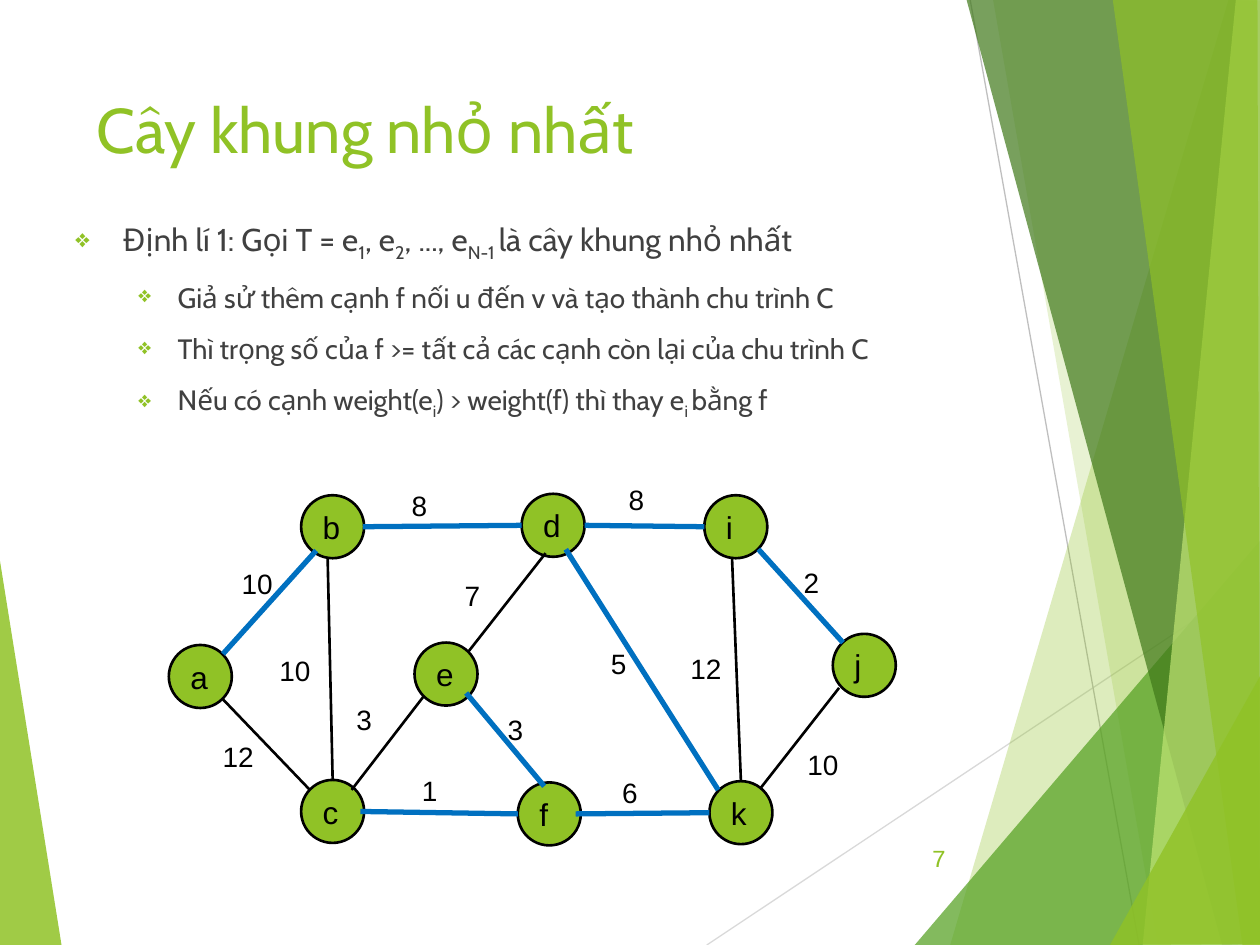
import pptx
import pptx.dml.color
import pptx.enum.shapes
import pptx.enum.text
import pptx.oxml
import pptx.oxml.ns
import pptx.util
from pptx.util import Pt

RGB = pptx.dml.color.RGBColor
GREEN = RGB(0x90, 0xC2, 0x26)
MID_GREEN = RGB(0x54, 0xA0, 0x21)
DARK_GREEN = RGB(0x3F, 0x78, 0x19)
PALE_GREEN = RGB(0xC0, 0xE4, 0x74)
BLUE = RGB(0x00, 0x70, 0xC0)
BLACK = RGB(0x00, 0x00, 0x00)
TEXT_GREY = RGB(0x40, 0x40, 0x40)
LIGHT_GREY = RGB(0xD9, 0xD9, 0xD9)
GREY = RGB(0xBF, 0xBF, 0xBF)

ANCHOR = pptx.enum.text.MSO_ANCHOR
ALIGN = pptx.enum.text.PP_ALIGN
NODE_SIZE = 36

# Corner points, colour, opacity in percent
LEFT_FACET = ([(-0.7, 316), (35.3, 540.7), (-0.7, 540)], GREEN, 85)
RIGHT_FACETS = [
    ([(702, 0), (543, 540), (721.4, 540.7), (720.7, 0.7)], GREEN, 30),
    ([(567.4, -0.7), (661.7, 540), (720.7, 540), (720.7, -0.7)], GREEN, 20),
    ([(522.7, 540), (720, 309), (720.7, 540)], MID_GREEN, 72),
    ([(552.2, -0.7), (698.4, 540), (720.7, 539.3), (720.7, -0.7)], DARK_GREEN, 70),
    ([(706.3, -0.7), (653, 540), (720.7, 540), (720, -0.7)], PALE_GREEN, 70),
    ([(635.8, -0.7), (710, 540), (720, 540), (718.6, -0.7)], GREEN, 65),
    ([(634.3, 540), (720.7, 385.2), (720.7, 539.3)], GREEN, 80),
]

# Underscores enclose subscripts
STATEMENTS = [
    (0, "Định lí 1: Gọi T = e_1_, e_2_, ..., e_N-1 _là cây khung nhỏ nhất"),
    (1, "Giả sử thêm cạnh f nối u đến v và tạo thành chu trình C"),
    (1, "Thì trọng số của f >= tất cả các cạnh còn lại của chu trình C"),
    (1, "Nếu có cạnh weight(e_i_) > weight(f) thì thay e_i _bằng f"),
]
# Level: text size, left margin, hanging indent
LEVELS = {0: (18, 27, 27), 1: (16, 58.5, 22.5)}

NODES = {
    "a": (96.5, 368.6), "b": (172.1, 283), "d": (298.1, 282.2),
    "i": (402.5, 283), "c": (172.1, 445.7), "e": (236.9, 367.2),
    "f": (295.9, 447.1), "k": (405.4, 446.4), "j": (475.9, 362.2),
}

# Start, end, weight, corner of the weight's box
TREE_EDGES = [
    ((180.7, 314.6), (127.4, 373.7), 10, (131, 320.4)),
    ((433.4, 313.9), (481.7, 367.2), 2, (452.2, 319.7)),
    ((323.3, 313.9), (410.4, 451.4), 5, (342, 365.8)),
    ((334.1, 300.2), (402.5, 301), 8, (352.1, 272.2)),
    ((266.4, 396), (311, 449.3), 3, (283, 403.9)),
    ((207.4, 301), (298.1, 300.2), 8, (228.2, 275.8)),
    ((329, 465.1), (405.4, 464.4), 6, (348.5, 439.9)),
    ((205.9, 463.7), (295.9, 465.1), 1, (234, 438.5)),
]
OTHER_EDGES = [
    ((311.8, 316.1), (267.8, 372.2), 7, (258.5, 326.9)),
    ((241.9, 398.2), (200.9, 451.4), 3, (196.6, 398.2)),
    ((479.5, 393.1), (434.9, 450), 10, (454.3, 423.4)),
    ((127.4, 399.6), (177.1, 451.4), 12, (120.2, 419)),
    ((423.4, 446.4), (418.3, 318.2), 12, (387.4, 368.6)),
    ((187.2, 318.2), (190.1, 445.7), 10, (152.6, 370.1)),
]


def add_xml(parent, tag, **attributes):
    child = pptx.oxml.parse_xml(f"<a:{tag} {pptx.oxml.ns.nsdecls('a')}/>")
    for name, value in attributes.items():
        child.set(name, str(value))
    parent.append(child)
    return child


def style_span(span, size, font, color):
    span.font.size = Pt(size)
    span.font.name = font
    span.font.color.rgb = color


def add_facet(page, corners, color, opacity):
    points = [(Pt(x), Pt(y)) for x, y in corners]
    builder = page.shapes.build_freeform(*points[0], scale=1.0)
    builder.add_line_segments(points[1:], close=True)
    facet = builder.convert_to_shape()
    facet.shadow.inherit = False
    facet.fill.solid()
    facet.fill.fore_color.rgb = color
    facet.line.fill.background()
    fill_color = facet._element.spPr.find(".//" + pptx.oxml.ns.qn("a:srgbClr"))
    add_xml(fill_color, "alpha", val=opacity * 1000)


def add_line(page, start, end, color, width):
    line = page.shapes.add_connector(
        pptx.enum.shapes.MSO_CONNECTOR.STRAIGHT, *map(Pt, start + end))
    line.line.color.rgb = color
    line.line.width = Pt(width)
    add_xml(line._element.spPr, "effectLst")


def add_box(page, left, top, width, height):
    box = page.shapes.add_textbox(Pt(left), Pt(top), Pt(width), Pt(height))
    box.text_frame.word_wrap = True
    return box.text_frame


def add_label(page, text, place, size, font, color):
    """Add a one-line text box and return its frame."""
    frame = add_box(page, *place)
    frame.text = text
    style_span(frame.paragraphs[0].runs[0], size, font, color)
    return frame


def add_bullet(para):
    properties = para._p.get_or_add_pPr()
    add_xml(add_xml(properties, "buClr"), "srgbClr", val=GREEN)
    add_xml(properties, "buSzPct", val=80000)
    add_xml(properties, "buChar", char="❖")


def add_statements(page):
    frame = add_box(page, 36, 122.4, 499.7, 305.3)
    for number, (level, text) in enumerate(STATEMENTS):
        para = frame.add_paragraph() if number else frame.paragraphs[0]
        size, margin, hanging = LEVELS[level]
        para.level = level
        para.space_before = Pt(10)
        properties = para._p.get_or_add_pPr()
        properties.set("marL", str(Pt(margin)))
        properties.set("indent", str(-Pt(hanging)))
        add_bullet(para)
        for position, part in enumerate(text.split("_")):
            span = para.add_run()
            span.text = part
            style_span(span, size, "Cabin", TEXT_GREY)
            if position % 2:
                span._r.get_or_add_rPr().set("baseline", "-25000")


def add_node(page, name, left, top):
    node = page.shapes.add_shape(
        pptx.enum.shapes.MSO_SHAPE.OVAL,
        Pt(left), Pt(top), Pt(NODE_SIZE), Pt(NODE_SIZE))
    node.shadow.inherit = False
    node.fill.solid()
    node.fill.fore_color.rgb = GREEN
    node.line.color.rgb = BLACK
    node.line.width = Pt(1.5)
    node.text_frame.text = name
    node.text_frame.vertical_anchor = ANCHOR.MIDDLE
    para = node.text_frame.paragraphs[0]
    para.alignment = ALIGN.LEFT
    style_span(para.runs[0], 18, "Arial", BLACK)


def add_graph(page):
    for name, corner in NODES.items():
        add_node(page, name, *corner)
    for edges, color, width in ((TREE_EDGES, BLUE, 3), (OTHER_EDGES, BLACK, 1.5)):
        for start, end, weight, corner in edges:
            add_line(page, start, end, color, width)
            add_label(page, str(weight), (*corner, 54.7, 36), 16, "Arial", BLACK)


def main():
    deck = pptx.Presentation()
    deck.slide_width, deck.slide_height = Pt(720), Pt(540)
    page = deck.slides.add_slide(deck.slide_layouts[6])
    add_facet(page, *LEFT_FACET)
    add_line(page, (403.9, 540), (720.7, 329), LIGHT_GREY, 0.75)
    add_line(page, (554.4, 0), (650.9, 540), GREY, 0.75)
    for facet in RIGHT_FACETS:
        add_facet(page, *facet)
    add_label(page, "Cây khung nhỏ nhất", (48.2, 48.2, 499.7, 103.7),
              36, "Cabin", GREEN)
    add_statements(page)
    number = add_label(page, "7", (507.6, 475.9, 40.3, 28.8),
                       14, "Courier New", GREEN)
    number.vertical_anchor = ANCHOR.MIDDLE
    number.paragraphs[0].alignment = ALIGN.RIGHT
    add_graph(page)
    deck.save("out.pptx")


if __name__ == "__main__":
    main()
